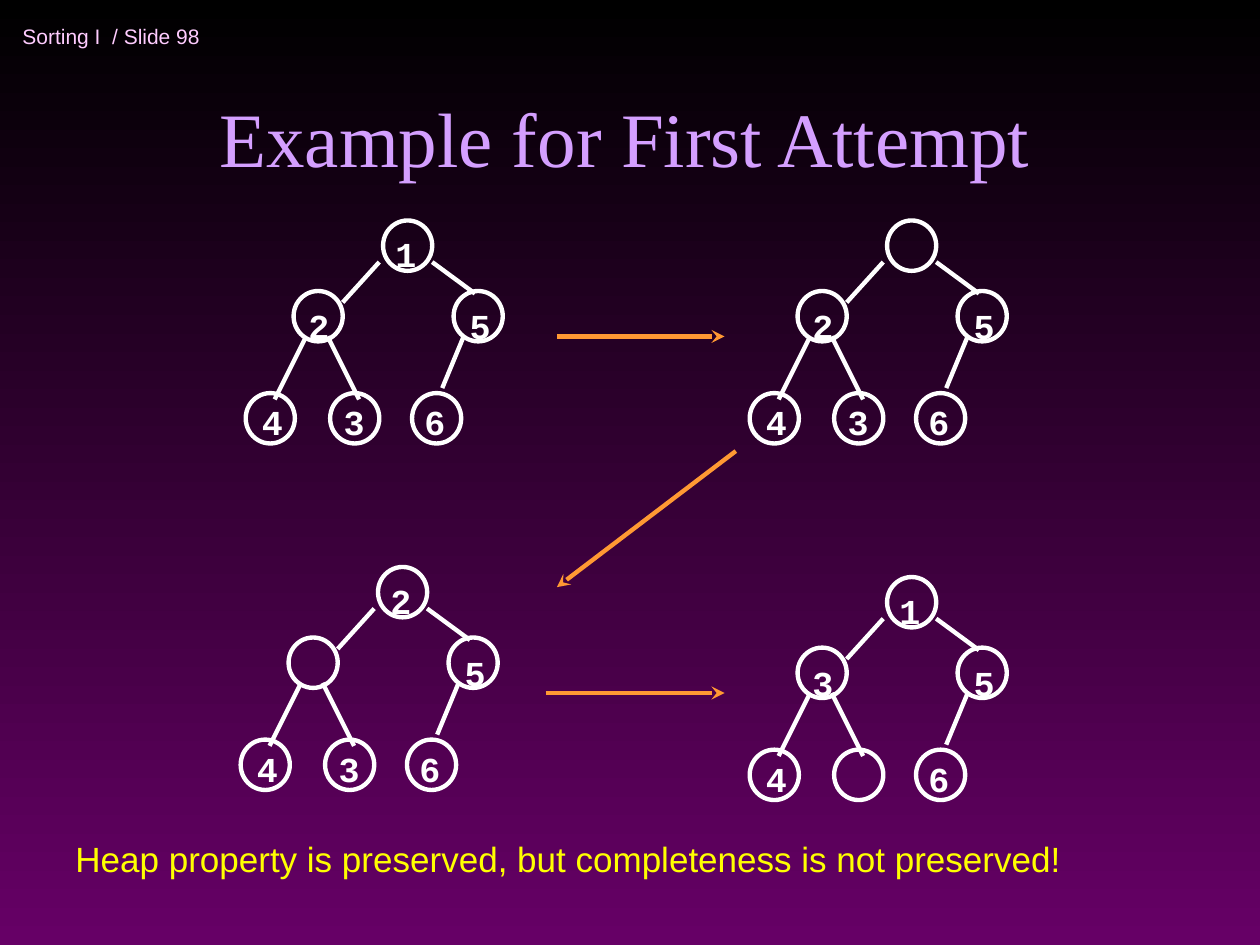
from lxml import etree
from pptx import Presentation
from pptx.dml.color import RGBColor as Rgb
from pptx.enum.shapes import MSO_CONNECTOR as Link, MSO_SHAPE as Form
from pptx.enum.text import MSO_ANCHOR as Anchor, PP_ALIGN as Align
from pptx.oxml.ns import qn
from pptx.util import Inches, Pt

COLS, ROWS = 100, 75
WIDE, HIGH = Inches(10), Inches(7.5)
HUES = {
    "top": "000000", "base": "660066", "head": "FFCCFF", "title": "D49FFF",
    "node": "FFFFFF", "arrow": "FF9933", "note": "FFFF00",
}
NODES = [(10.9, 0), (3.8, 5.6), (16.5, 5.6), (0, 13.7), (6.7, 13.7), (13.2, 13.7)]
SHIFTS = [(0, 0.5), (0.2, 0.6), (0.3, 0.6), (0.3, 0.1), (0.1, 0.1), (0, 0.1)]
EDGES = [
    ((10.6, 3.3), (7.7, 6.5)), ((14.8, 3.3), (18.2, 5.8)),
    ((4.8, 9.2), (2.3, 14.2)), ((6.5, 9.2), (9, 14.2)),
    ((17.3, 9.2), (15.6, 13.3)),
]
TREES = [
    ((19.5, 17.5), "125436"), ((59.5, 17.5), " 25436"),
    ((19.1, 45), "2 5436"), ((59.5, 45.8), "1354 6"),
]
ARROWS = [
    ((44.2, 26.7), (57.5, 26.7)),
    ((58.4, 35.8), (44.2, 46.6)),
    ((43.3, 55), (57.5, 55)),
]


def col(n):
    return round(WIDE * n / COLS)


def row(n):
    return round(HIGH * n / ROWS)


def area(box):
    x, y, w, h = box
    return col(x), row(y), col(w), row(h)


def move(base, step):
    return base[0] + step[0], base[1] + step[1]


def hue(name):
    return Rgb.from_string(HUES[name])


def write(shapes, box, text, size=20, font="Arial", color="node",
          bold=False, align=Align.LEFT, anchor=Anchor.TOP):
    frame = shapes.add_textbox(*area(box)).text_frame
    frame.word_wrap = True
    frame.vertical_anchor = anchor
    para = frame.paragraphs[0]
    para.alignment = align
    run = para.add_run()
    run.text = text
    run.font.size = Pt(size)
    run.font.name = font
    run.font.bold = bold
    run.font.color.rgb = hue(color)


def join(shapes, start, end, color="node", tip=False):
    line = shapes.add_connector(
        Link.STRAIGHT, col(start[0]), row(start[1]), col(end[0]), row(end[1]))
    line.line.width = Pt(2.5)
    line.line.color.rgb = hue(color)
    if tip:
        pen = line.line._get_or_add_ln()
        etree.SubElement(pen, qn("a:tailEnd"), type="stealth", w="med", len="med")
    etree.SubElement(line._element.spPr, qn("a:effectLst"))


def ring(shapes, spot):
    oval = shapes.add_shape(Form.OVAL, *area((*spot, 3.9, 4)))
    oval.shadow.inherit = False
    oval.fill.background()
    oval.line.width = Pt(2.5)
    oval.line.color.rgb = hue("node")


def tree(slide, base, keys):
    shapes = slide.shapes.add_group_shape().shapes
    for node in NODES:
        ring(shapes, move(base, node))
    for start, end in EDGES:
        join(shapes, move(base, start), move(base, end))
    for node, shift, key in zip(NODES, SHIFTS, keys):
        if key != " ":
            spot = move(move(base, node), shift)
            write(shapes, (*spot, 3.7, 4.4), key, font="Courier New", bold=True)


def paint(slide):
    fill = slide.background.fill
    fill.gradient()
    fill.gradient_angle = 270
    for stop, name in zip(fill.gradient_stops, ("top", "base")):
        stop.color.rgb = hue(name)


def header(slide):
    write(slide.shapes, (0.8, 0.8, 27.5, 4.2), "Sorting I  / Slide 98",
          size=12, color="head", anchor=Anchor.MIDDLE)
    write(slide.shapes, (6.7, 2.5, 85.8, 12.5), "Example for First Attempt",
          size=44, font="Times New Roman", color="title",
          align=Align.CENTER, anchor=Anchor.BOTTOM)


def footer(slide):
    write(slide.shapes, (5, 66, 85, 4.4),
          "Heap property is preserved, but completeness is not preserved!",
          color="note")


def main():
    deck = Presentation()
    deck.slide_width, deck.slide_height = WIDE, HIGH
    slide = deck.slides.add_slide(deck.slide_layouts[6])
    paint(slide)
    header(slide)
    for base, keys in TREES:
        tree(slide, base, keys)
    footer(slide)
    for start, end in ARROWS:
        join(slide.shapes, start, end, color="arrow", tip=True)
    deck.save("out.pptx")


if __name__ == "__main__":
    main()
